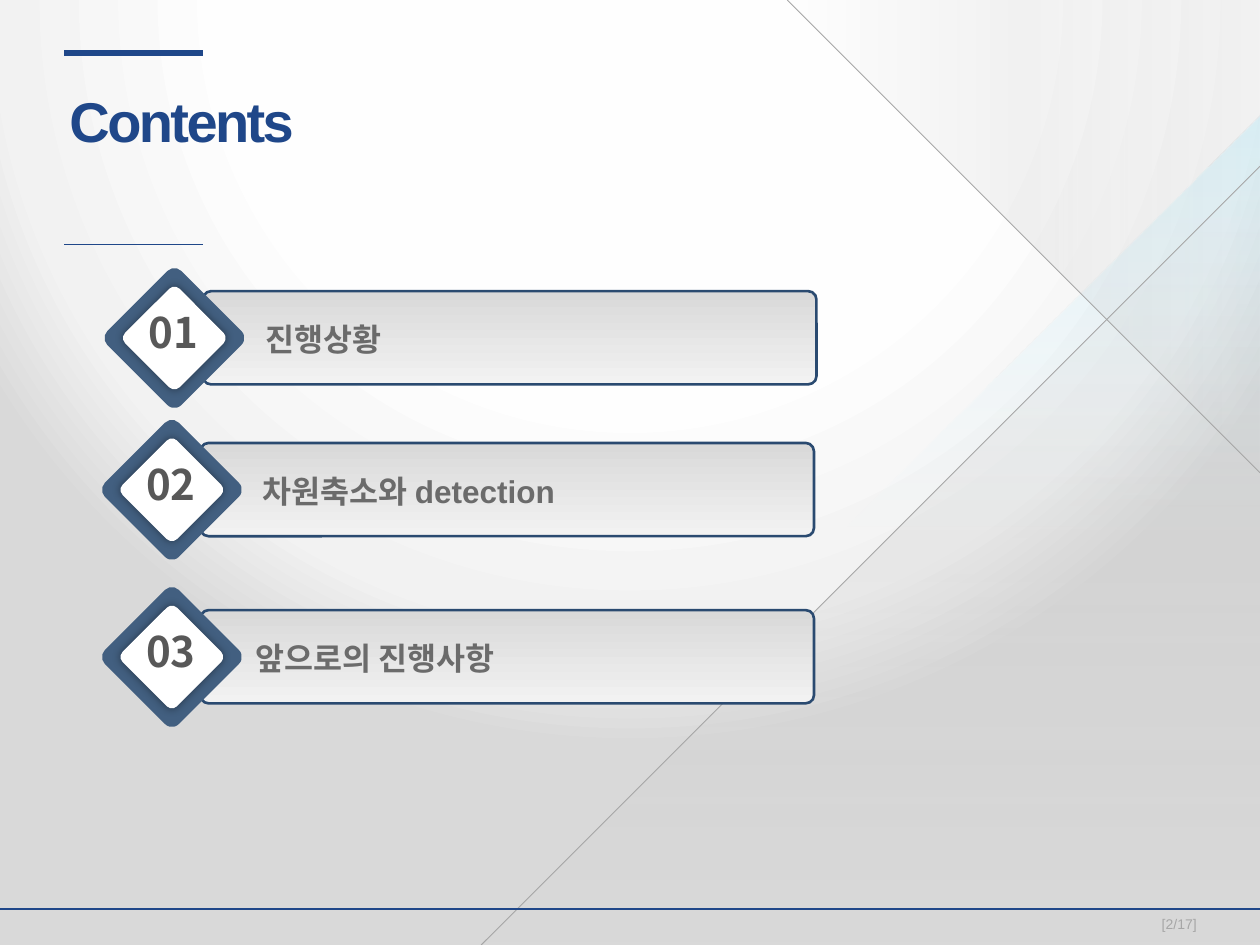
from dataclasses import dataclass
from itertools import pairwise

from lxml import etree
from pptx import Presentation
from pptx import util as u
from pptx.dml.color import RGBColor
from pptx.enum import shapes, text
from pptx.oxml import ns

Cm, Pt = u.Cm, u.Pt
A = ns.nsdecls("a")


@dataclass(frozen=True)
class Theme:
    navy: str = "1F4789"
    bar_line: str = "2A4A70"
    diamond: str = "425F80"
    white: str = "FFFFFF"
    number: str = "585858"
    label: str = "6B6B6B"
    muted: str = "A6A6A6"
    font: str = "Arial"
    number_font: str = "Noto Sans CJK KR"
    title_size: int = 32
    number_size: int = 24
    label_size: int = 18
    page_size: int = 8
    backdrop: tuple = ((0, "FFFFFF", 100), (50, "FEFEFE", 100),
                       (80, "F2F2F2", 100), (95, "D9D9D9", 100))
    blue_glow: tuple = ((0, "BFBFBF", 0), (50, "D0F3FE", 0), (100, "A1E7FC", 30))
    grey_glow: tuple = ((0, "BFBFBF", 0), (50, "BFBFBF", 20), (100, "BFBFBF", 0))
    bar: tuple = ((1, "F2F2F2", 100), (99, "D9D9D9", 100))


THEME = Theme()
WIDTH, HEIGHT = 25.4, 19.05
LINEAR = '<a:lin ang="{}" scaled="0"/>'
CIRCLE = ('<a:path path="circle"><a:fillToRect l="50000" t="-80000" '
          'r="50000" b="180000"/></a:path>')


def set_gradient(fill, stops, direction):
    """Fill with (position, colour, opacity) stops, all but colour in percent."""
    fill.gradient()
    gradient = fill._fill._gradFill
    for child in list(gradient):
        gradient.remove(child)
    marks = "".join(
        f'<a:gs pos="{place * 1000}"><a:srgbClr val="{colour}">'
        f'<a:alpha val="{opacity * 1000}"/></a:srgbClr></a:gs>'
        for place, colour, opacity in stops)
    parts = etree.fromstring(f"<a:x {A}><a:gsLst>{marks}</a:gsLst>{direction}</a:x>")
    gradient.extend(list(parts))


def add_shape(page, kind, left, top, width, height, colour=None, turn=0, corner=None):
    shape = page.shapes.add_shape(kind, Cm(left), Cm(top), Cm(width), Cm(height))
    shape.shadow.inherit = False
    shape.line.fill.background()
    shape.rotation = turn
    if corner is not None:
        shape.adjustments[0] = corner
    if colour:
        shape.fill.solid()
        shape.fill.fore_color.rgb = RGBColor.from_string(colour)
    else:
        shape.fill.background()
    return shape


def add_line(page, start, end, colour, weight):
    line = page.shapes.add_connector(
        shapes.MSO_CONNECTOR.STRAIGHT, *map(Cm, (*start, *end)))
    line.line.color.rgb = RGBColor.from_string(colour)
    line.line.width = Pt(weight)
    etree.SubElement(line._element.spPr, ns.qn("a:effectLst"))


def write(shape, words, size, colour, font=THEME.font, bold=False,
          align=text.PP_ALIGN.LEFT, insets=None, wrap=True):
    frame = shape.text_frame
    frame.text = words
    frame.word_wrap = wrap
    frame.vertical_anchor = text.MSO_ANCHOR.MIDDLE
    if insets:
        (frame.margin_left, frame.margin_top,
         frame.margin_right, frame.margin_bottom) = map(Cm, insets)
    para = frame.paragraphs[0]
    para.alignment = align
    span = para.runs[0]
    span.font.name, span.font.size, span.font.bold = font, Pt(size), bold
    span.font.color.rgb = RGBColor.from_string(colour)
    return span


def add_text(page, left, top, width, height, *content, **style):
    box = page.shapes.add_textbox(Cm(left), Cm(top), Cm(width), Cm(height))
    return write(box, *content, **style)


def draw_backdrop(page, width, height):
    set_gradient(page.background.fill, THEME.backdrop, CIRCLE)

    # Blue glow in the lower right corner
    corners = [(width, height), (8.59, height), (width, 2.34)]
    builder = page.shapes.build_freeform(*map(Cm, corners[0]), scale=1.0)
    builder.add_line_segments([tuple(map(Cm, c)) for c in corners[1:]], close=True)
    glow = builder.convert_to_shape()
    glow.shadow.inherit = False
    glow.line.fill.background()
    set_gradient(glow.fill, THEME.blue_glow, LINEAR.format(270 * 60000))

    # Grey corner triangles, each with a line along its long side
    low, high = 15.7, 9.53
    for side, top, turn in ((low, height - low, 270), (high, 0, 180)):
        corner = add_shape(page, shapes.MSO_SHAPE.RIGHT_TRIANGLE,
                           width - side, top, side, side, turn=turn)
        set_gradient(corner.fill, THEME.grey_glow, LINEAR.format(0))
    add_line(page, (width - low, height), (width, height - low), THEME.muted, 0.5)
    add_line(page, (width - high, 0), (width, high), THEME.muted, 0.5)


def draw_title(page, left, top):
    span = add_text(page, left + 0.1, top + 0.46, 9, 1.8, "Contents",
                    THEME.title_size, THEME.navy, bold=True, insets=(0, 0, 0, 0))
    span._r.get_or_add_rPr().set("spc", "-150")
    for drop, weight in ((0, 3), (3.86, 1)):
        add_line(page, (left, top + drop), (left + 2.8, top + drop), THEME.navy, weight)


def draw_footer(page, top, width):
    for start, end in pairwise((0, 4.9, width)):
        add_line(page, (start, top), (end, top), THEME.navy, 1)
    add_text(page, width - 3.25, top + 0.05, 3.25, 0.51, "[2/17]", THEME.page_size,
             THEME.muted, align=text.PP_ALIGN.CENTER, insets=(0, 0, 0, 0))


def draw_entry(page, left, top, number, label, indent):
    rounded = shapes.MSO_SHAPE.ROUNDED_RECTANGLE

    # Bar
    bar = add_shape(page, rounded, left + 1.63, top + 0.11, 12.37, 1.88, corner=0.088)
    set_gradient(bar.fill, THEME.bar, LINEAR.format(270 * 60000))
    bar.line.color.rgb = RGBColor.from_string(THEME.bar_line)
    bar.line.width = Pt(1.5)

    # Diamond, its white centre with a soft shadow, and the number
    add_shape(page, rounded, left, top, 2.11, 2.11, THEME.diamond, 45, 0.094)
    centre = add_shape(page, rounded, left + 0.28, top + 0.28, 1.55, 1.55,
                       THEME.white, 45, 0.094)
    effects = centre._element.spPr.find(ns.qn("a:effectLst"))
    effects.append(etree.fromstring(
        f'<a:outerShdw {A} blurRad="{Pt(5)}" dist="0" dir="0" algn="ctr">'
        '<a:srgbClr val="000000"><a:alpha val="40000"/></a:srgbClr></a:outerShdw>'))
    badge = add_shape(page, shapes.MSO_SHAPE.OVAL, left + 0.3, top + 0.39, 1.47, 1.09)
    write(badge, number, THEME.number_size, THEME.number, THEME.number_font,
          bold=True, align=text.PP_ALIGN.CENTER, wrap=False)

    # Label
    add_text(page, left + indent, top + 0.37, 13.56, 1.3, label, THEME.label_size,
             THEME.label, bold=True, insets=(0.3, 0.3, 0.4, 0.2))


def main():
    deck = Presentation()
    deck.slide_width, deck.slide_height = Cm(WIDTH), Cm(HEIGHT)
    page = deck.slides.add_slide(deck.slide_layouts[6])
    draw_backdrop(page, WIDTH, HEIGHT)
    draw_footer(page, 18.33, WIDTH)
    draw_title(page, 1.3, 1.07)
    entries = (
        (2.46, 5.76, "진행상황", 2.59),
        (2.41, 8.82, "차원축소와 detection", 2.59),
        (2.41, 12.19, "앞으로의 진행사항", 2.44),
    )
    for order, (left, top, label, indent) in enumerate(entries, 1):
        draw_entry(page, left, top, f"{order:02}", label, indent)
    deck.save("out.pptx")


if __name__ == "__main__":
    main()
